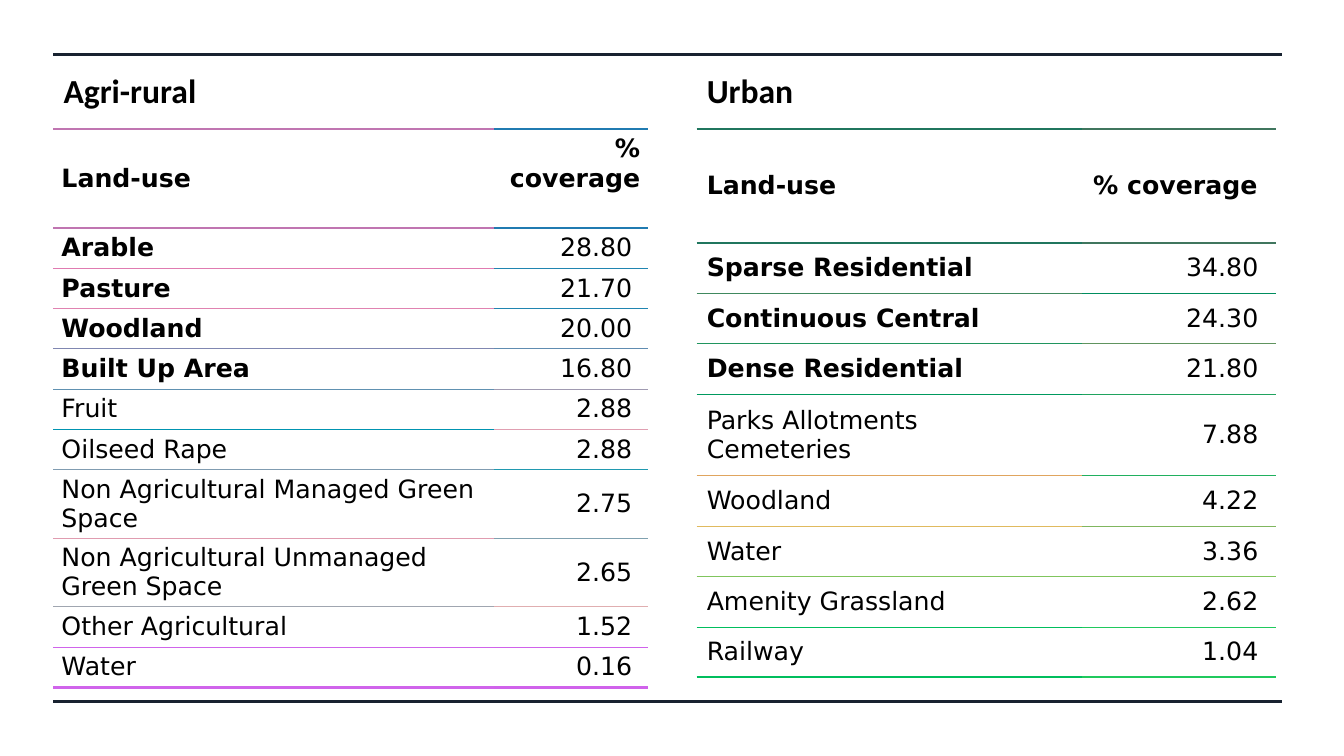
from pptx import Presentation, util as u
from pptx.dml.color import RGBColor
from pptx.enum import shapes, text
from lxml import etree
from pptx.oxml.ns import qn

HEX = {
    "ink": "000000",
    "paper": "FFFFFF",
    "rule": "182230",
    # border under each row, top edge first
    "rural name": "C075B1 C075B1 E07BB1 E083B1 8087B1 6091B1 0094B1 809CB1 "
                  "E09CB0 A0A6B0 D064EB D064EB",
    "rural share": "207BB1 207BB1 2085B1 2085B1 608CB1 A09AB1 E09FB1 2099B0 "
                   "80A1B0 E0AEB0 D062EB D062EB",
    "urban name": "20765E 20765E 40895E 20955E 00995E E0A55E E0BA5E 80C55D "
                  "00BE5D 00BE5D",
    "urban share": "40765E 40765E 008D5E 60945E 20A35E 20B05E 80B65E 80C55D "
                   "20C95D 20C95D",
}
HEAD = ("Land-use", "% coverage")
RURAL = [
    ("Arable", "28.80"),
    ("Pasture", "21.70"),
    ("Woodland", "20.00"),
    ("Built Up Area", "16.80"),
    ("Fruit", "2.88"),
    ("Oilseed Rape", "2.88"),
    ("Non Agricultural Managed Green Space", "2.75"),
    ("Non Agricultural Unmanaged Green Space", "2.65"),
    ("Other Agricultural", "1.52"),
    ("Water", "0.16"),
]
URBAN = [
    ("Sparse Residential", "34.80"),
    ("Continuous Central", "24.30"),
    ("Dense Residential", "21.80"),
    ("Parks Allotments Cemeteries", "7.88"),
    ("Woodland", "4.22"),
    ("Water", "3.36"),
    ("Amenity Grassland", "2.62"),
    ("Railway", "1.04"),
]
NBSP = chr(160)  # every cell ends in a hard space


def rgb(name):
    return RGBColor.from_string(HEX[name])


class Deck:
    def __init__(self):
        self.prs = Presentation()
        self.prs.slide_width = u.Inches(13.33)
        self.prs.slide_height = u.Inches(7.5)
        comparison = self.prs.slide_layouts[4]
        self.slide = self.prs.slides.add_slide(comparison)
        self.holders = {p.placeholder_format.idx: p
                        for p in self.slide.placeholders}
        for idx in (0, 2, 4):
            spare = self.holders.pop(idx).element
            spare.getparent().remove(spare)

    def rule(self, y):
        line = self.slide.shapes.add_connector(
            shapes.MSO_CONNECTOR.STRAIGHT, u.Inches(0.53), u.Inches(y),
            u.Inches(12.72), u.Inches(y))
        line.line.color.rgb = rgb("rule")
        line.line.width = u.Pt(2.25)
        etree.SubElement(line.element.spPr, qn("a:effectLst"))

    def font(self, para, face, size, bold):
        for run in para.runs:
            run.font.name, run.font.size = face, u.Pt(size)
            run.font.bold = bold
            run.font.color.rgb = rgb("ink")

    def heading(self, idx, label, x, wide):
        box = self.holders[idx]
        box.left, box.top = u.Inches(x), u.Inches(0.64)
        box.width, box.height = u.Inches(wide), u.Inches(0.5)
        frame = box.text_frame
        frame.text = label
        frame.word_wrap = False
        frame.vertical_anchor = text.MSO_ANCHOR.TOP
        frame.auto_size = text.MSO_AUTO_SIZE.SHAPE_TO_FIT_TEXT
        para = frame.paragraphs[0]
        para.space_before = u.Pt(0)
        self.font(para, "Calibri", 24, True)

    def edges(self, cell, top, bottom):
        """Draw top and bottom borders, each a (hex, points) pair; no sides."""
        sides = {"lnL": None, "lnR": None, "lnT": top, "lnB": bottom}
        props = cell._tc.get_or_add_tcPr()
        for place, (tag, style) in enumerate(sides.items()):
            line = etree.Element(qn("a:" + tag))
            props.insert(place, line)
            if style is None:
                etree.SubElement(line, qn("a:noFill"))
                continue
            colour, points = style
            line.set("w", str(u.Pt(points)))
            fill = etree.SubElement(line, qn("a:solidFill"))
            etree.SubElement(fill, qn("a:srgbClr")).set("val", colour)

    def cell(self, cell, words, right, bold, pad):
        cell.fill.solid()
        cell.fill.fore_color.rgb = rgb("paper")
        cell.vertical_anchor = text.MSO_ANCHOR.MIDDLE
        cell.margin_left = cell.margin_right = u.Inches(pad)
        cell.margin_top = cell.margin_bottom = u.Inches(pad / 2)
        para = cell.text_frame.paragraphs[0]
        para.text = words + NBSP
        if right:
            para.alignment = text.PP_ALIGN.RIGHT
        self.font(para, "DejaVu Sans", 18, bold)

    def table(self, key, data, x, cols, highs, pad, strong):
        """Build a ruled table; the first `strong` land uses are bold."""
        rows = [HEAD] + data
        grid = self.slide.shapes.add_table(
            len(rows), 2, u.Inches(x), u.Inches(1.28),
            u.Inches(sum(cols)), u.Inches(sum(highs))).table
        grid.first_row = grid.horz_banding = False
        for col, wide in zip(grid.columns, cols):
            col.width = u.Inches(wide)
        for row, high in zip(grid.rows, highs):
            row.height = u.Inches(high)
        last = len(rows)
        for c, part in enumerate(("name", "share")):
            lines = [(colour, 1.8 if n in (0, 1, last) else 0.6)
                     for n, colour in enumerate(HEX[f"{key} {part}"].split())]
            for r, row in enumerate(rows):
                cell = grid.cell(r, c)
                bold = r == 0 or (c == 0 and r <= strong)
                self.cell(cell, row[c], c == 1, bold, pad)
                self.edges(cell, lines[r], lines[r + 1])


def main():
    deck = Deck()
    for y in (0.54, 6.96):
        deck.rule(y)
    deck.table("rural", RURAL, 0.53, (4.37, 1.53),
               [0.9] + [0.4] * 6 + [0.65] * 2 + [0.4] * 2, 0.08, 4)
    deck.table("urban", URBAN, 6.91, (3.82, 1.93),
               [1.13] + [0.5] * 3 + [0.81] + [0.5] * 4, 0.1, 3)
    deck.heading(1, "Agri-rural", 0.53, 1.71)
    deck.heading(3, "Urban", 6.91, 1.17)
    deck.prs.save("out.pptx")


if __name__ == "__main__":
    main()
